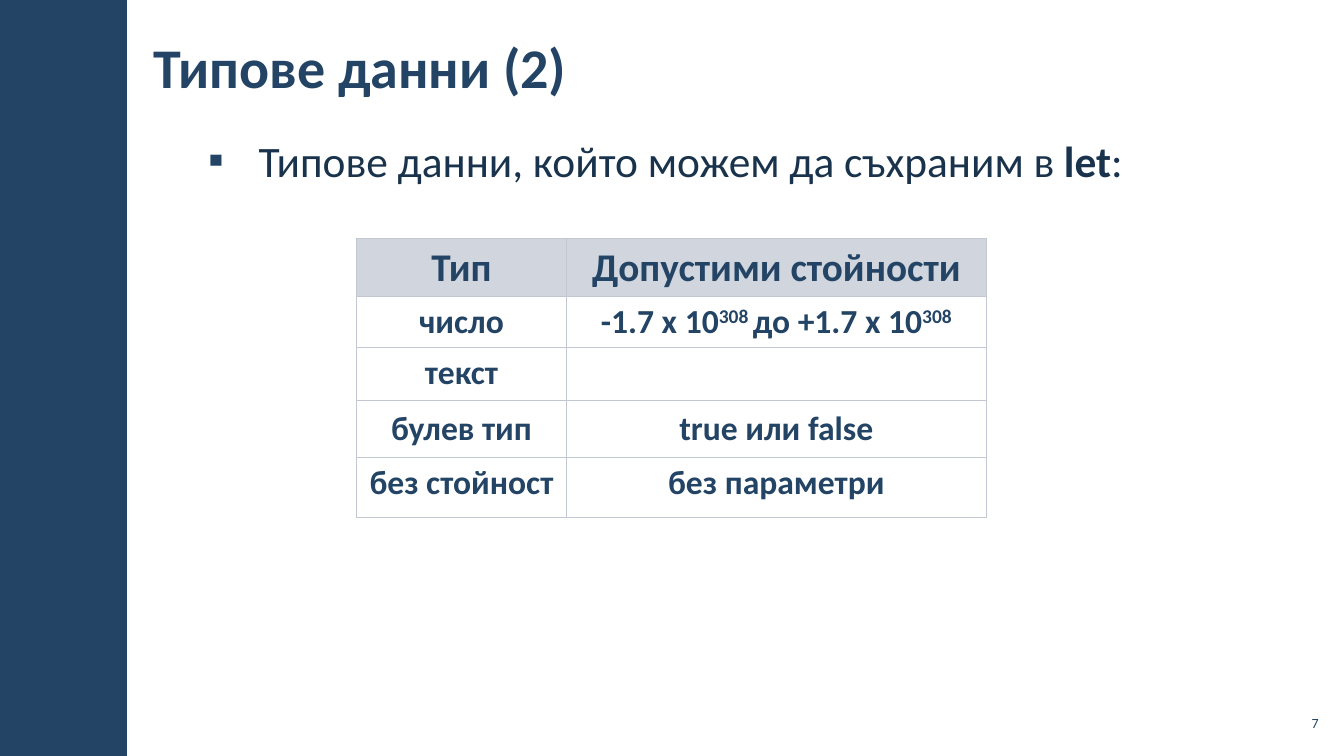
from lxml import etree
from pptx import Presentation
from pptx import util as u
from pptx.dml.color import RGBColor
from pptx.enum import shapes, text
from pptx.oxml import ns

COLORS = {
    "navy": "234465",
    "body": "1A334C",
    "header": "D1D5DD",
    "border": "C2C7D2",
}
FONT = "Calibri"
COLUMN_WIDTHS = [5.28, 10.59]
ROW_HEIGHTS = [1.45, 1.29, 1.33, 1.44, 1.5]
TOP, MIDDLE = text.MSO_ANCHOR.TOP, text.MSO_ANCHOR.MIDDLE
ROWS = [
    ("Тип", "Допустими стойности", MIDDLE),
    ("число", "-1.7 x 10^308 ^до +1.7 x 10^308", TOP),
    ("текст", "", TOP),
    ("булев тип", "true или false", MIDDLE),
    ("без стойност", "без параметри", TOP),
]


def color(name):
    return RGBColor.from_string(COLORS[name])


def set_font(paragraph, size, color_name="navy", bold=False):
    font = paragraph.font
    font.name, font.size, font.bold = FONT, u.Pt(size), bold
    font.color.rgb = color(color_name)


def add_text_box(slide, box, inset_x, inset_y, anchor):
    shape = slide.shapes.add_textbox(*(u.Cm(length) for length in box))
    frame = shape.text_frame
    frame.word_wrap = True
    frame.vertical_anchor = anchor
    frame.margin_left = frame.margin_right = u.Cm(inset_x)
    frame.margin_top = frame.margin_bottom = u.Cm(inset_y)
    return frame.paragraphs[0]


def add_side_band(slide, box):
    shape = slide.shapes.add_shape(
        shapes.MSO_SHAPE.RECTANGLE, *(u.Cm(length) for length in box))
    shape.shadow.inherit = False
    shape.fill.solid()
    shape.fill.fore_color.rgb = color("navy")
    shape.line.fill.background()


def add_title(slide, box):
    paragraph = add_text_box(slide, box, 0.3, 0.1, MIDDLE)
    paragraph.text = "Типове данни (2)"
    set_font(paragraph, 40, bold=True)


def add_page_number(slide, box):
    paragraph = add_text_box(slide, box, 0.1, 0.1, MIDDLE)
    paragraph.text = "7"
    paragraph.alignment = text.PP_ALIGN.RIGHT
    set_font(paragraph, 10)


def add_bullet_line(slide, box):
    paragraph = add_text_box(slide, box, 0.4, 0.3, TOP)
    paragraph.line_spacing = 1.1
    properties = paragraph._p.get_or_add_pPr()
    properties.set("marL", str(u.Cm(1.27)))
    properties.set("indent", str(u.Cm(-1.27)))
    bullet_color = etree.SubElement(properties, ns.qn("a:buClr"))
    etree.SubElement(bullet_color, ns.qn("a:srgbClr"), val=COLORS["navy"])
    etree.SubElement(properties, ns.qn("a:buFont"), typeface=FONT)
    etree.SubElement(properties, ns.qn("a:buChar"), char="▪")
    set_font(paragraph, 31, "body")
    for words, bold in (("Типове данни, който можем да съхраним в ", False),
                        ("let", True), (":", False)):
        run = paragraph.add_run()
        run.text = words
        run.font.bold = bold


def add_borders(cell):
    properties = cell._tc.get_or_add_tcPr()
    for side in ("a:lnL", "a:lnR", "a:lnT", "a:lnB"):
        line = etree.SubElement(properties, ns.qn(side), w=str(u.Pt(1)))
        fill = etree.SubElement(line, ns.qn("a:solidFill"))
        etree.SubElement(fill, ns.qn("a:srgbClr"), val=COLORS["border"])


def fill_cell(cell, words, anchor, is_header):
    add_borders(cell)
    if is_header:
        cell.fill.solid()
        cell.fill.fore_color.rgb = color("header")
    else:
        cell.fill.background()
    cell.vertical_anchor = anchor
    paragraph = cell.text_frame.paragraphs[0]
    paragraph.alignment = text.PP_ALIGN.CENTER
    set_font(paragraph, 28 if is_header else 24, bold=True)
    for index, part in enumerate(words.split("^")):
        if part:
            run = paragraph.add_run()
            run.text = part
            if index % 2:
                run.font._element.set("baseline", "30000")


def add_type_table(slide, left, top):
    table = slide.shapes.add_table(
        len(ROWS), len(COLUMN_WIDTHS), u.Cm(left), u.Cm(top),
        u.Cm(sum(COLUMN_WIDTHS)), u.Cm(sum(ROW_HEIGHTS))).table
    table.horz_banding = False
    for column, width in zip(table.columns, COLUMN_WIDTHS):
        column.width = u.Cm(width)
    for index, (row, height) in enumerate(zip(table.rows, ROW_HEIGHTS)):
        row.height = u.Cm(height)
        *words, anchor = ROWS[index]
        for cell, cell_words in zip(row.cells, words):
            fill_cell(cell, cell_words, anchor, index == 0)


def main():
    presentation = Presentation()
    presentation.slide_width = u.Cm(33.87)
    presentation.slide_height = u.Cm(19.05)
    slide = presentation.slides.add_slide(presentation.slide_layouts[6])
    add_side_band(slide, (0, 0, 3.2, 19.05))
    add_title(slide, (3.58, 0.43, 23.32, 2.46))
    add_page_number(slide, (32.13, 17.78, 1.2, 0.86))
    add_type_table(slide, 8.99, 6.02)
    add_bullet_line(slide, (4.85, 2.95, 24.13, 1.98))
    presentation.save("out.pptx")


if __name__ == "__main__":
    main()
